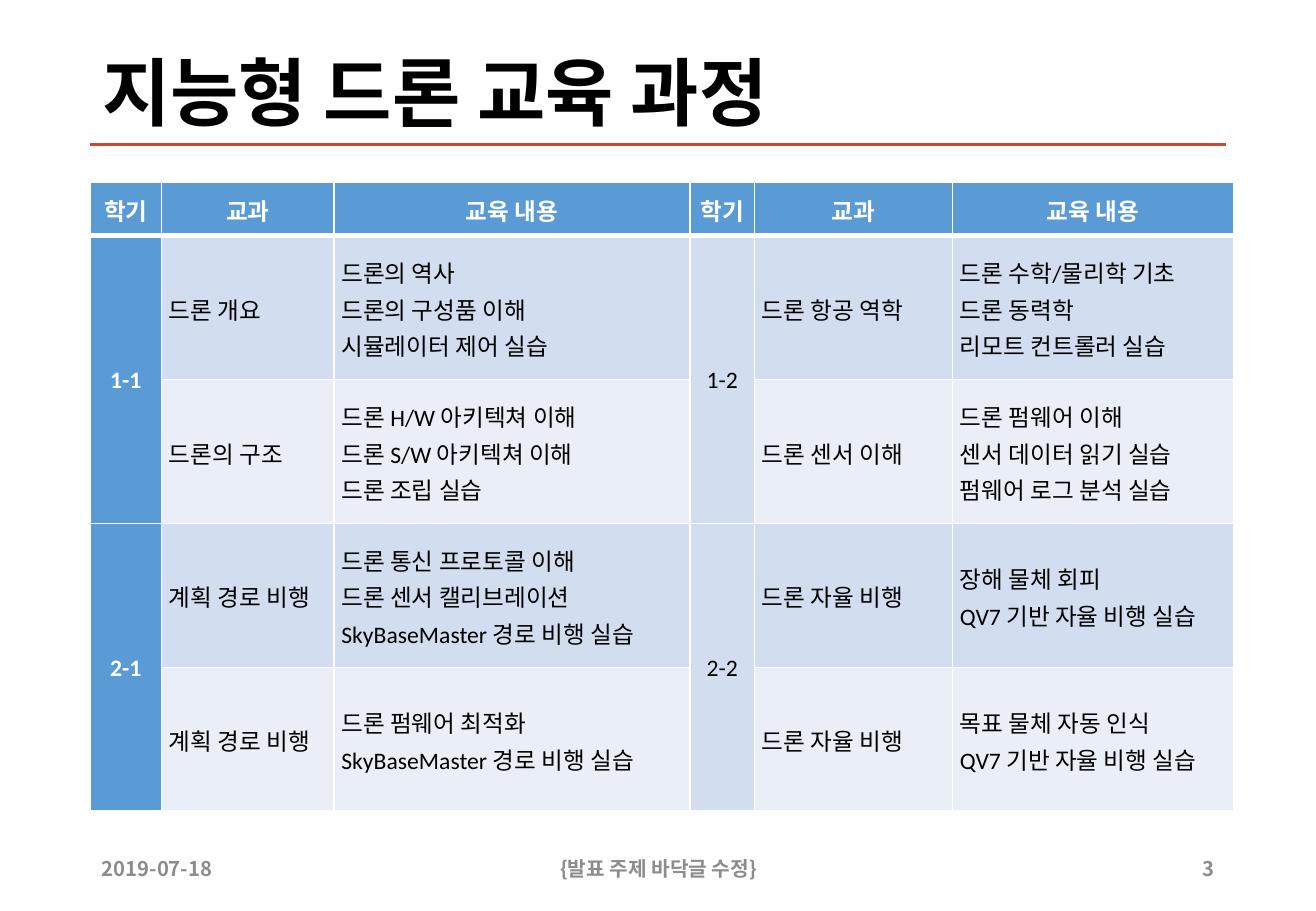
import pptx
import pptx.dml.color
import pptx.enum.shapes
import pptx.enum.text
import pptx.oxml
import pptx.oxml.ns
import pptx.util
from pptx.util import Inches

RGBColor = pptx.dml.color.RGBColor
Align = pptx.enum.text.PP_ALIGN
Anchor = pptx.enum.text.MSO_ANCHOR

TITLE = "지능형 드론 교육 과정"
HEADINGS = ["학기", "교과", "교육 내용"] * 2
COURSES = [
    ["1-1", "드론 개요", "드론의 역사\n드론의 구성품 이해\n시뮬레이터 제어 실습",
     "1-2", "드론 항공 역학", "드론 수학/물리학 기초\n드론 동력학\n리모트 컨트롤러 실습"],
    ["", "드론의 구조", "드론 H/W 아키텍쳐 이해\n드론 S/W 아키텍쳐 이해\n드론 조립 실습",
     "", "드론 센서 이해", "드론 펌웨어 이해\n센서 데이터 읽기 실습\n펌웨어 로그 분석 실습"],
    ["2-1", "계획 경로 비행", "드론 통신 프로토콜 이해\n드론 센서 캘리브레이션\nSkyBaseMaster 경로 비행 실습",
     "2-2", "드론 자율 비행", "장해 물체 회피\nQV7 기반 자율 비행 실습"],
    ["", "계획 경로 비행", "드론 펌웨어 최적화\nSkyBaseMaster 경로 비행 실습",
     "", "드론 자율 비행", "목표 물체 자동 인식\nQV7 기반 자율 비행 실습"],
]
FOOTERS = [
    ("2019-07-18", 0.74, 1.27, Align.LEFT),
    ("{발표 주제 바닥글 수정}", 3.59, 3.66, Align.CENTER),
    ("3", 9.56, 0.53, Align.RIGHT),
]
COLUMN_WIDTHS = [0.59, 1.42, 2.93, 0.53, 1.63, 2.31]
HEADER_HEIGHT = 0.44
COURSES_HEIGHT = 4.74
LEFT = 0.74
SEMESTER_COLUMNS = (0, 3)

BLACK = RGBColor(0x00, 0x00, 0x00)
WHITE = RGBColor(0xFF, 0xFF, 0xFF)
GRAY = RGBColor(0x8C, 0x8C, 0x8C)
ORANGE = RGBColor(0xD2, 0x47, 0x26)
BLUE = RGBColor(0x5B, 0x9B, 0xD5)
BAND_DARK = RGBColor(0xD2, 0xDE, 0xEF)
BAND_LIGHT = RGBColor(0xEA, 0xEF, 0xF7)
KOREAN_FONT = "Noto Sans CJK KR"


def write(frame, text, font, size, color, bold, align, spacing):
    """Fill a text frame with uniformly formatted paragraphs."""
    frame.text = text
    frame.word_wrap = True
    for para in frame.paragraphs:
        para.alignment = align
        para.line_spacing = spacing
        para.font.name = font
        para.font.size = pptx.util.Pt(size)
        para.font.bold = bold
        para.font.color.rgb = color
        latin = para.font._element.find(pptx.oxml.ns.qn("a:latin"))
        latin.addnext(pptx.oxml.parse_xml(
            f'<a:ea {pptx.oxml.ns.nsdecls("a")} typeface="{KOREAN_FONT}"/>'))


def add_title(page):
    """Place the title and the rule beneath it."""
    title = page.shapes.title
    title.left, title.top = Inches(LEFT), Inches(0.4)
    title.width, title.height = Inches(9.34), Inches(0.79)
    title.text_frame.vertical_anchor = Anchor.MIDDLE
    write(title.text_frame, TITLE, "Times New Roman", 44, BLACK, True, Align.LEFT, 0.9)
    rule = page.shapes.add_connector(
        pptx.enum.shapes.MSO_CONNECTOR.STRAIGHT,
        Inches(LEFT), Inches(1.19), Inches(10.09), Inches(1.19))
    rule.line.color.rgb = ORANGE
    rule.line.width = pptx.util.Pt(2)
    rule._element.spPr.append(pptx.oxml.parse_xml(
        f'<a:effectLst {pptx.oxml.ns.nsdecls("a")}/>'))


def set_borders(cell, widths):
    """Draw white borders on a cell, widths in points by side."""
    properties = cell._tc.get_or_add_tcPr()
    for side, width in widths.items():
        properties.append(pptx.oxml.parse_xml(
            f'<a:ln{side} {pptx.oxml.ns.nsdecls("a")} w="{pptx.util.Pt(width)}">'
            f'<a:solidFill><a:srgbClr val="{WHITE}"/></a:solidFill></a:ln{side}>'))


def style_cell(cell, row, column, text):
    """Format one curriculum cell by its place in the table."""
    strong = row == 0 or column == 0
    centered = row == 0 or column in SEMESTER_COLUMNS
    band = BAND_DARK if row % 2 or column in SEMESTER_COLUMNS else BAND_LIGHT
    set_borders(cell, {"L": 1, "R": 1, "T": 3 if row == 1 else 1, "B": 3 if row == 0 else 1})
    cell.fill.solid()
    cell.fill.fore_color.rgb = BLUE if strong else band
    cell.vertical_anchor = Anchor.MIDDLE
    cell.margin_left = cell.margin_right = Inches(0.06)
    cell.margin_top = cell.margin_bottom = Inches(0.02)
    write(cell.text_frame, text, "Calibri", 14, WHITE if strong else BLACK, strong,
          Align.CENTER if centered else Align.JUSTIFY, 1.07)


def add_curriculum(page):
    """Build the table of semesters, subjects and contents."""
    rows = [HEADINGS] + COURSES
    table = page.shapes.add_table(
        len(rows), len(HEADINGS), Inches(LEFT), Inches(1.5),
        Inches(sum(COLUMN_WIDTHS)), Inches(HEADER_HEIGHT + COURSES_HEIGHT)).table
    for column, width in zip(table.columns, COLUMN_WIDTHS):
        column.width = Inches(width)
    for index, row in enumerate(table.rows):
        row.height = Inches(COURSES_HEIGHT / len(COURSES) if index else HEADER_HEIGHT)
    for row, texts in enumerate(rows):
        for column, text in enumerate(texts):
            style_cell(table.cell(row, column), row, column, text)
    for row in range(1, len(rows), 2):
        for column in SEMESTER_COLUMNS:
            table.cell(row, column).merge(table.cell(row + 1, column))


def add_footers(page):
    """Place the date, the topic and the page number."""
    for text, left, width, align in FOOTERS:
        box = page.shapes.add_textbox(Inches(left), Inches(6.95), Inches(width), Inches(0.4))
        box.text_frame.vertical_anchor = Anchor.MIDDLE
        write(box.text_frame, text, KOREAN_FONT, 12, GRAY, True, align, 1.0)


def main():
    """Build the drone curriculum slide."""
    deck = pptx.Presentation()
    deck.slide_width, deck.slide_height = Inches(10.83), Inches(7.5)
    page = deck.slides.add_slide(deck.slide_layouts[5])
    add_title(page)
    add_curriculum(page)
    add_footers(page)
    deck.save("out.pptx")


if __name__ == "__main__":
    main()
